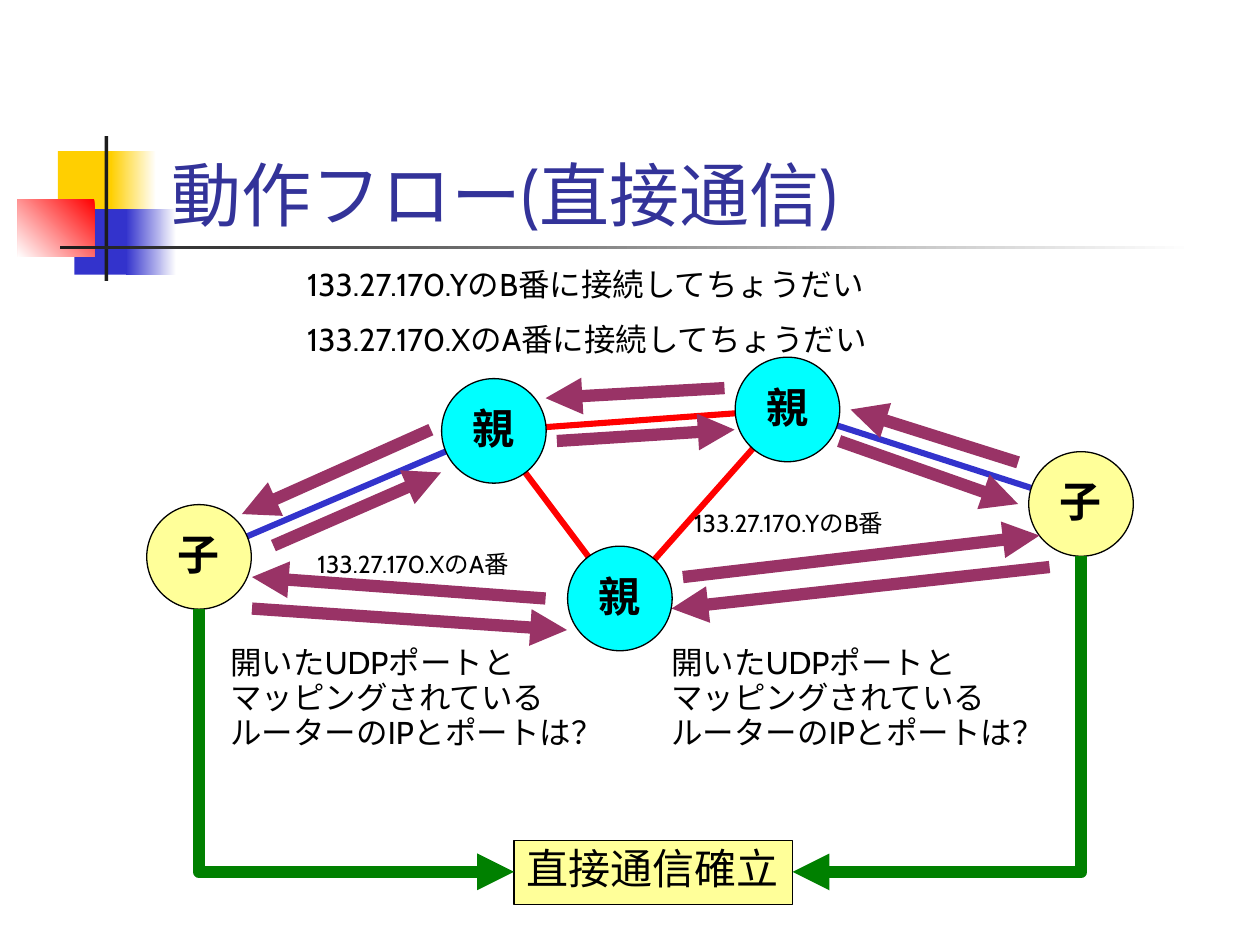
from lxml import etree
from pptx import Presentation
from pptx.dml.color import RGBColor
from pptx.enum.shapes import MSO_CONNECTOR as LINE, MSO_SHAPE as SHAPE
from pptx.enum.text import MSO_ANCHOR as ANCHOR, PP_ALIGN as ALIGN
from pptx.oxml.ns import qn
from pptx.util import Inches, Pt

BLACK, WHITE, DARK = "000000", "FFFFFF", "1C1C1C"
YELLOW, BLUE, RED = "FFCF01", "3333CC", "FF0000"
PARENT, CHILD = "00FFFF", "FFFF99"
MESSAGE, DIRECT = "993366", "008000"
NODE_SIZE = 0.83


def color(hex_string):
    return RGBColor.from_string(hex_string)


class FlowSlide:
    font = "Cabin"
    line_spacing = 0.93

    def __init__(self, slide):
        self.shapes = slide.shapes

    def set_text(self, frame, text, size, ink=BLACK, bold=False, align=ALIGN.LEFT,
                 anchor=ANCHOR.TOP, wrap=False):
        frame.text = text
        frame.word_wrap = wrap
        frame.vertical_anchor = anchor
        for paragraph in frame.paragraphs:
            paragraph.alignment = align
            paragraph.line_spacing = self.line_spacing
            font = paragraph.font
            font.name, font.size, font.bold = self.font, Pt(size), bold
            font.color.rgb = color(ink)

    def title(self, text, left, top, width, height):
        title = self.shapes.title
        title.left, title.top = Inches(left), Inches(top)
        title.width, title.height = Inches(width), Inches(height)
        self.set_text(title.text_frame, text, 40, "333399", anchor=ANCHOR.BOTTOM, wrap=True)
        # Bring the title in front of the decoration
        title.element.getparent().append(title.element)

    def block(self, left, top, width, height, fill, outline=None, kind=SHAPE.RECTANGLE):
        block = self.shapes.add_shape(
            kind, Inches(left), Inches(top), Inches(width), Inches(height))
        block.shadow.inherit = False
        block.fill.solid()
        block.fill.fore_color.rgb = color(fill)
        if outline:
            block.line.color.rgb = color(outline)
            block.line.width = Pt(0.75)
        else:
            block.line.fill.background()
        return block

    def fade(self, left, top, width, height, start, end, angle=180):
        block = self.block(left, top, width, height, end)
        block.fill.gradient()
        block.fill.gradient_angle = angle
        for stop, shade in zip(block.fill.gradient_stops, (start, end)):
            stop.color.rgb = color(shade)

    def node(self, center, text, fill):
        x, y = center
        circle = self.block(x - NODE_SIZE / 2, y - NODE_SIZE / 2, NODE_SIZE, NODE_SIZE,
                            fill, BLACK, SHAPE.OVAL)
        self.set_text(circle.text_frame, text, 24, bold=True,
                      align=ALIGN.CENTER, anchor=ANCHOR.MIDDLE)

    def label(self, left, top, width, height, text, size=18):
        box = self.shapes.add_textbox(
            Inches(left), Inches(top), Inches(width), Inches(height))
        self.set_text(box.text_frame, text, size)

    def line(self, start, end, ink, width, kind=LINE.STRAIGHT):
        line = self.shapes.add_connector(kind, *map(Inches, (*start, *end)))
        line.line.color.rgb = color(ink)
        line.line.width = Pt(width)
        etree.SubElement(line.element.spPr, qn("a:effectLst"))
        return line

    def arrowhead(self, line, end):
        outline = line.element.spPr.find(qn("a:ln"))
        etree.SubElement(outline, qn(f"a:{end}"), type="triangle")

    def arrow(self, start, end):
        self.arrowhead(self.line(start, end, MESSAGE, 7), "tailEnd")

    def corner_arrow(self, tip, origin):
        # Drawn from the tip, so the single bend lies below the origin
        line = self.line(tip, origin, DIRECT, 7, LINE.ELBOW)
        line.element.spPr.find(qn("a:prstGeom")).set("prst", "bentConnector2")
        self.arrowhead(line, "headEnd")


def main():
    prs = Presentation()
    prs.slide_width, prs.slide_height = Inches(10), Inches(7.5)
    flow = FlowSlide(prs.slides.add_slide(prs.slide_layouts[5]))

    # Decoration beside and below the title
    flow.block(0.46, 1.2, 0.48, 0.52, YELLOW)
    flow.fade(0.88, 1.2, 0.36, 0.52, WHITE, YELLOW)
    flow.block(0.59, 1.66, 0.46, 0.52, BLUE)
    flow.fade(1, 1.66, 0.4, 0.52, WHITE, BLUE)
    flow.fade(0.14, 1.58, 0.61, 0.46, RED, WHITE, 225)
    flow.block(0.83, 1.08, 0.03, 1.15, DARK)
    flow.fade(0.48, 1.95, 9, 0.03, WHITE, DARK)
    flow.title("動作フロー(直接通信)", 1.26, 0.79, 8.52, 1.14)

    # Network: links between node centres, then the nodes over them
    left_parent, right_parent, low_parent = (3.92, 3.42), (6.25, 3.25), (4.92, 4.75)
    left_child, right_child = (1.58, 4.42), (8.58, 4)
    parents = (left_parent, right_parent, low_parent)
    for start, end in zip(parents, parents[1:] + parents[:1]):
        flow.line(start, end, RED, 3.5)
    for child, parent in ((left_child, left_parent), (right_child, right_parent)):
        flow.line(child, parent, BLUE, 3.5)
    for parent in parents:
        flow.node(parent, "親", PARENT)
    for child in (left_child, right_child):
        flow.node(child, "子", CHILD)

    # Messages between neighbouring nodes
    for start, end in (
        ((2, 4.83), (4.5, 5)), ((4.33, 4.75), (2, 4.58)),
        ((8.33, 4.5), (5.33, 4.83)), ((5.42, 4.58), (8.25, 4.25)),
        ((2.17, 4.33), (3.5, 3.75)), ((3.42, 3.41), (1.92, 4.08)),
        ((4.42, 3.5), (5.83, 3.41)), ((5.75, 3.08), (4.33, 3.16)),
        ((6.66, 3.5), (8.08, 4)), ((8.08, 3.67), (6.75, 3.25)),
    ):
        flow.arrow(start, end)

    # Message texts
    for left in (1.73, 5.23):
        flow.label(left, 5.08, 3.3, 0.94,
                   "開いたUDPポートと\vマッピングされている\vルーターのIPとポートは？")
    for address, request_top, answer_left, answer_top in (
        ("133.27.170.XのA番", 2.52, 2.42, 4.33),
        ("133.27.170.YのB番", 2.08, 5.41, 4),
    ):
        flow.label(2.34, request_top, 5, 0.38, f"{address}に接続してちょうだい")
        flow.label(answer_left, answer_top, 1.99, 0.32, address, 14)

    # Direct connection between the children
    result = flow.block(4.08, 6.67, 2.21, 0.51, CHILD, BLACK)
    flow.set_text(result.text_frame, "直接通信確立", 24)
    for tip_x, (child_x, child_y) in ((4.08, left_child), (6.29, right_child)):
        flow.corner_arrow((tip_x, 6.92), (child_x, child_y + NODE_SIZE / 2))

    prs.save("out.pptx")


if __name__ == "__main__":
    main()
